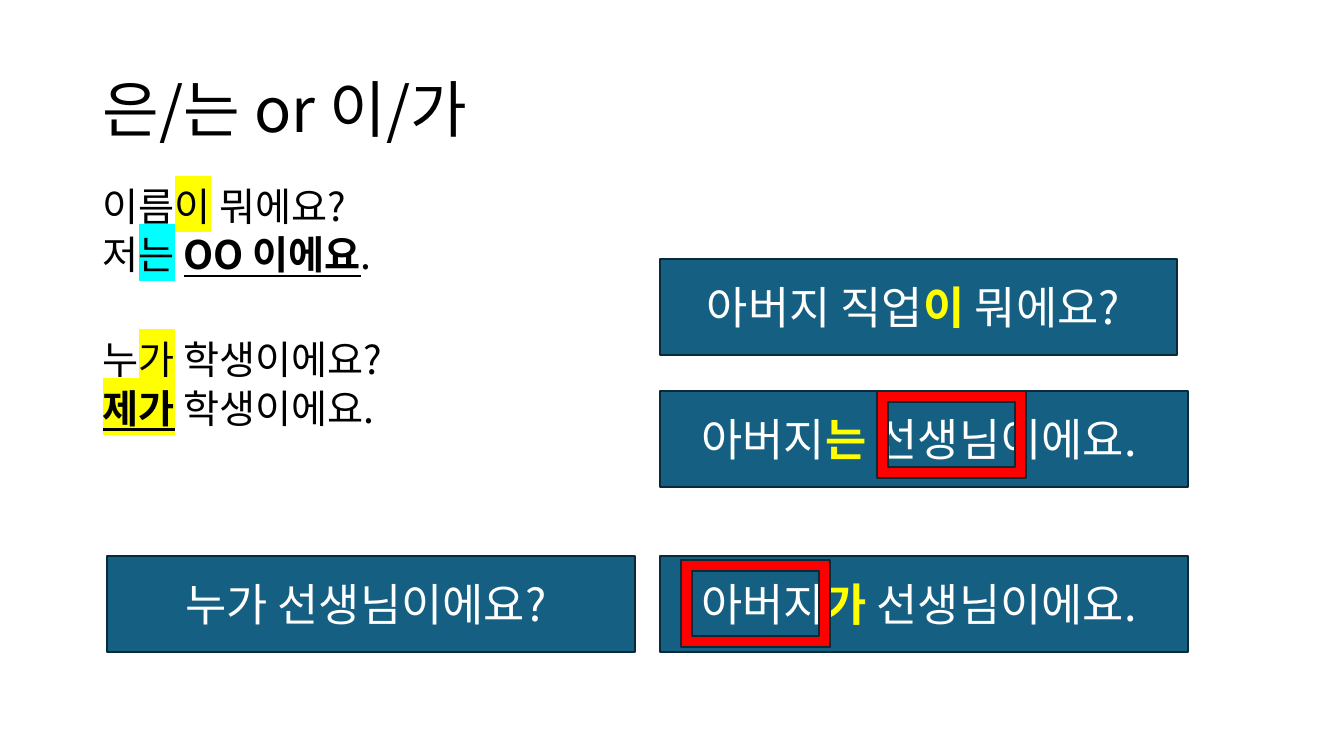
from dataclasses import dataclass

from lxml import etree
from pptx import Presentation
from pptx.dml.color import RGBColor
from pptx.enum.shapes import MSO_SHAPE
from pptx.enum.text import MSO_ANCHOR, PP_ALIGN
from pptx.oxml.ns import qn
from pptx.util import Pt

RECT, FRAME = MSO_SHAPE.RECTANGLE, MSO_SHAPE.FRAME
TOP, MIDDLE = MSO_ANCHOR.TOP, MSO_ANCHOR.MIDDLE
LEFT, CENTER = PP_ALIGN.LEFT, PP_ALIGN.CENTER
EMU_PER_PX = 914400 / 100.8


@dataclass(frozen=True)
class Theme:
    """Colours, font and type sizes of the slide."""
    font: str = "Noto Sans CJK KR"
    ink: str = "000000"
    white: str = "FFFFFF"
    yellow: str = "FFFF00"
    cyan: str = "00FFFF"
    red: str = "FF0000"
    card: str = "156082"
    edge: str = "092A39"
    title: int = 44
    body: int = 28
    answer: int = 32


T = Theme()
SUBJECT = {"highlight": T.yellow}
TOPIC = {"highlight": T.cyan}
STRONG = {"bold": True, "underline": True}
PARTICLE = {"bold": True, "color": T.yellow}

EXAMPLES = [
    (0, [("이름", {}), ("이", SUBJECT), (" 뭐에요?", {})]),
    (8, [("저", {}), ("는", TOPIC), (" ", {}), ("OO 이에요", STRONG), (".", {})]),
    (48, [("누", {}), ("가", SUBJECT), (" 학생이에요?", {})]),
    (8, [("제가", {**STRONG, **SUBJECT}), (" 학생이에요.", {})]),
]
CARDS = [
    ((660, 391, 528, 96), [("아버지", {}), ("는 ", PARTICLE), ("선생님이에요. ", {})]),
    ((660, 556, 528, 96), [("아버지", {}), ("가 ", PARTICLE), ("선생님이에요. ", {})]),
    ((660, 259, 517, 96), [("아버지 직업", {}), ("이 ", PARTICLE), ("뭐에요? ", {})]),
    ((107, 556, 528, 96), [("누가 선생님이에요? ", {})]),
]
FRAMES = [(877, 391, 149, 87), (681, 560, 149, 87)]


def px(n):
    """Turn pixels into EMU."""
    return round(n * EMU_PER_PX)


def add_runs(p, runs, size, color):
    """Fill a paragraph with formatted runs."""
    for text, style in runs:
        r = p.add_run()
        r.text = text
        fmt = {"size": Pt(size), "bold": False, "underline": False, **style}
        r.font.color.rgb = RGBColor.from_string(fmt.pop("color", color))
        highlight = fmt.pop("highlight", None)
        for name, value in fmt.items():
            setattr(r.font, name, value)
        rPr = r.font._element
        if highlight:
            mark = etree.SubElement(rPr, qn("a:highlight"))
            etree.SubElement(mark, qn("a:srgbClr"), val=highlight)
        r.font.name = T.font
        etree.SubElement(rPr, qn("a:ea"), typeface=T.font)


def add_text(s, box, lines, size, spacing, anchor):
    """Place a text box of (space before, runs) lines."""
    tf = s.shapes.add_textbox(*map(px, box)).text_frame
    tf.word_wrap, tf.vertical_anchor = True, anchor
    for i, (gap, runs) in enumerate(lines):
        p = tf.add_paragraph() if i else tf.paragraphs[0]
        fmt = {"alignment": LEFT, "line_spacing": spacing, "space_before": Pt(gap)}
        for name, value in fmt.items():
            setattr(p, name, value)
        add_runs(p, runs, size, T.ink)


def add_block(s, kind, box, fill):
    """Place an outlined, filled shape."""
    sp = s.shapes.add_shape(kind, *map(px, box))
    sp.shadow.inherit = False
    sp.fill.solid()
    sp.fill.fore_color.rgb = RGBColor.from_string(fill)
    sp.line.color.rgb = RGBColor.from_string(T.edge)
    sp.line.width = Pt(1.5)
    return sp


def add_card(s, box, runs):
    """Place a card with one centred sentence."""
    tf = add_block(s, RECT, box, T.card).text_frame
    tf.word_wrap, tf.vertical_anchor = True, MIDDLE
    p = tf.paragraphs[0]
    p.alignment = CENTER
    add_runs(p, runs, T.answer, T.white)


def build_particles(prs):
    """Build the slide on Korean particles."""
    s = prs.slides.add_slide(prs.slide_layouts[6])
    title = [(0, [("은/는 or 이/가", {})])]
    add_text(s, (93, 40, 1159, 146), title, T.title, 0.9, MIDDLE)
    add_text(s, (93, 186, 1159, 480), EXAMPLES, T.body, 0.8, TOP)
    for box, runs in CARDS:
        add_card(s, box, runs)
    for box in FRAMES:
        add_block(s, FRAME, box, T.red)


def main():
    """Create and save the presentation."""
    prs = Presentation()
    prs.slide_width, prs.slide_height = px(1344), px(756)
    build_particles(prs)
    prs.save("out.pptx")


if __name__ == "__main__":
    main()
